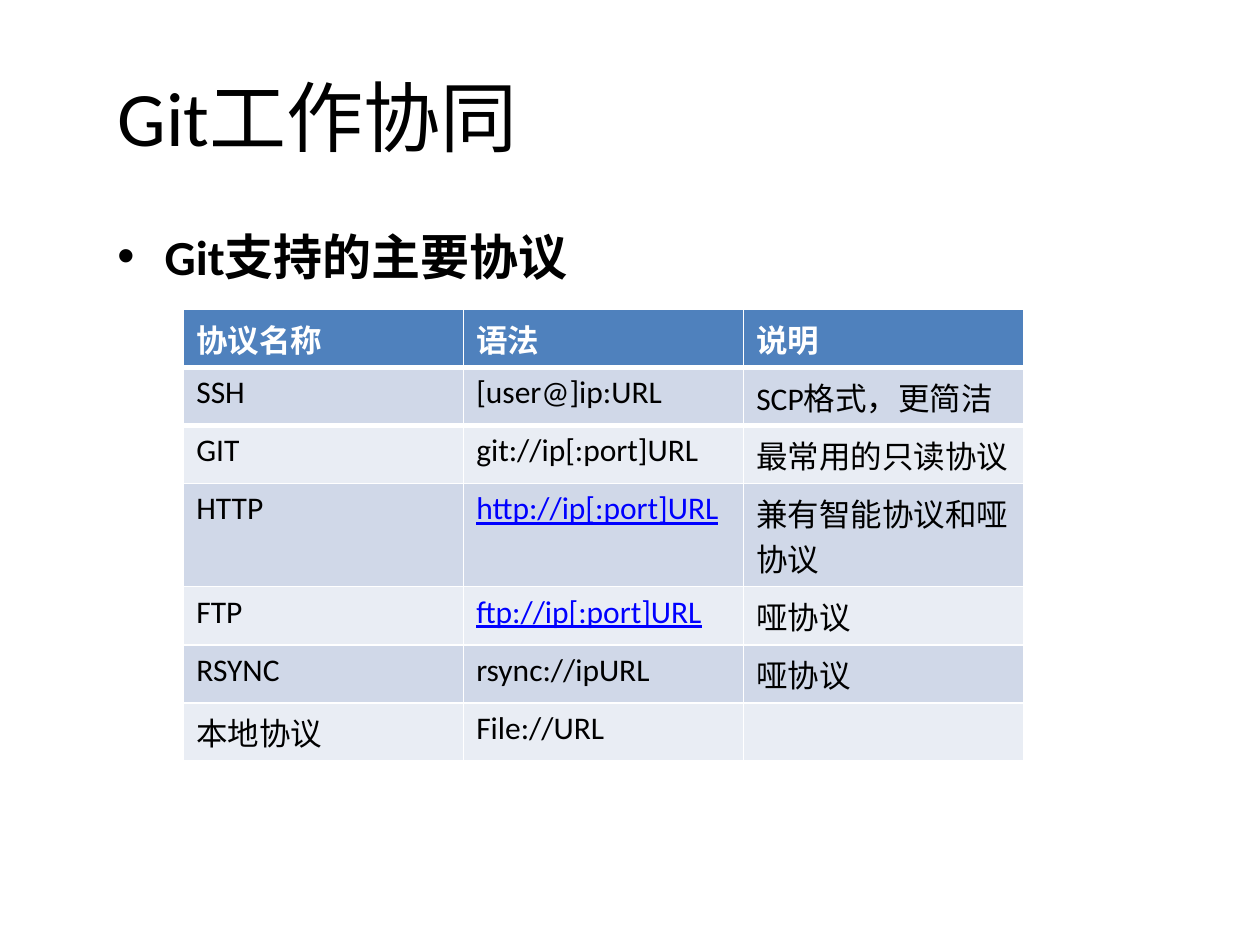
from lxml import etree
from pptx import Presentation
from pptx.dml.color import RGBColor
from pptx.enum import text
from pptx.oxml import ns
from pptx.util import Pt


def color(value):
    return RGBColor.from_string(value)


def style(paragraph, size, font_color="000000", bold=False, underline=False):
    font = paragraph.font
    font.name = "Calibri"
    font.size = Pt(size)
    font.bold = bold
    font.underline = underline
    font.color.rgb = color(font_color)


presentation = Presentation()
presentation.slide_width, presentation.slide_height = Pt(720), Pt(540)
slide = presentation.slides.add_slide(presentation.slide_layouts[5])

# Title
title = slide.shapes.title
title.left, title.top, title.width, title.height = Pt(60), Pt(21), Pt(636), Pt(90)
title.text_frame.text = "Git工作协同"
title.text_frame.vertical_anchor = text.MSO_ANCHOR.MIDDLE
paragraph = title.text_frame.paragraphs[0]
paragraph.alignment = text.PP_ALIGN.LEFT
style(paragraph, 44)

# Bulleted heading
heading = slide.shapes.add_textbox(Pt(60), Pt(126), Pt(636), Pt(338))
heading.text_frame.word_wrap = True
paragraph = heading.text_frame.paragraphs[0]
paragraph.text = "Git支持的主要协议"
paragraph.space_before = Pt(5.6)
style(paragraph, 28, bold=True)
properties = paragraph._p.get_or_add_pPr()
properties.set("marL", str(Pt(27)))
properties.set("indent", str(Pt(-27)))
bullet_font = etree.Element(ns.qn("a:buFont"), typeface="Arial")
bullet = etree.Element(ns.qn("a:buChar"), char="•")
default_font = properties.find(ns.qn("a:defRPr"))
default_font.addprevious(bullet_font)
default_font.addprevious(bullet)

# Protocol table
rows = [
    ("协议名称", "语法", "说明"),
    ("SSH", "[user@]ip:URL", "SCP格式，更简洁"),
    ("GIT", "git://ip[:port]URL", "最常用的只读协议"),
    ("HTTP", "http://ip[:port]URL", "兼有智能协议和哑协议"),
    ("FTP", "ftp://ip[:port]URL", "哑协议"),
    ("RSYNC", "rsync://ipURL", "哑协议"),
    ("本地协议", "File://URL", ""),
]
row_heights = [59 if values[0] == "HTTP" else 33.2 for values in rows]
table = slide.shapes.add_table(
    len(rows), 3, Pt(105), Pt(176.7), Pt(480), Pt(sum(row_heights))
).table
for row, height in zip(table.rows, row_heights):
    row.height = Pt(height)

# The thick line under the header belongs to both rows that meet there
header_line = {0: "a:lnB", 1: "a:lnT"}

for row_index, values in enumerate(rows):
    is_header = row_index == 0
    fill = "4F81BD" if is_header else ("E9EDF4", "D0D8E8")[row_index % 2]
    for column_index, value in enumerate(values):
        cell = table.cell(row_index, column_index)
        cell.fill.solid()
        cell.fill.fore_color.rgb = color(fill)
        cell.text = value
        is_link = value.startswith(("http:", "ftp:"))
        font_color = "FFFFFF" if is_header else "0000FF" if is_link else "000000"
        style(cell.text_frame.paragraphs[0], 18, font_color, is_header, is_link)
        if row_index in header_line:
            line = etree.Element(ns.qn(header_line[row_index]), w=str(Pt(3)))
            line_fill = etree.SubElement(line, ns.qn("a:solidFill"))
            etree.SubElement(line_fill, ns.qn("a:srgbClr"), val="FFFFFF")
            cell._tc.get_or_add_tcPr().insert(0, line)

presentation.save("out.pptx")
